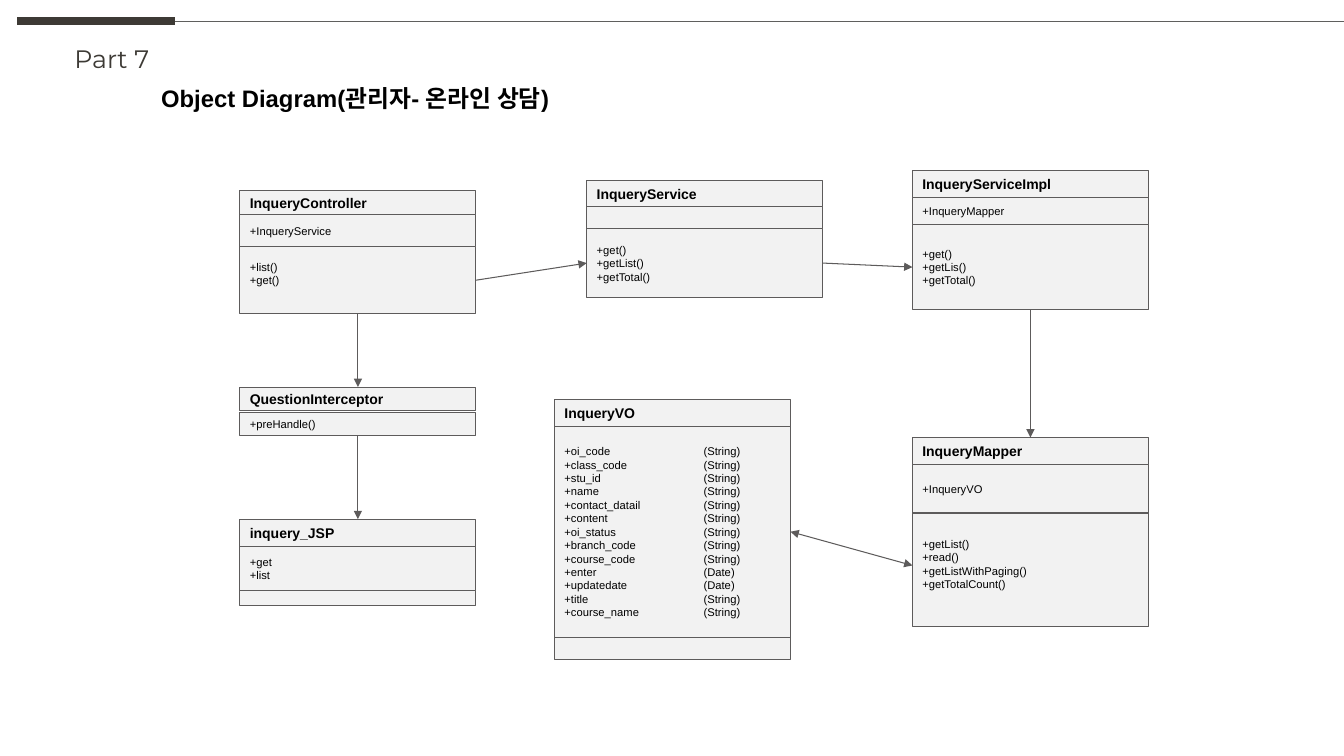
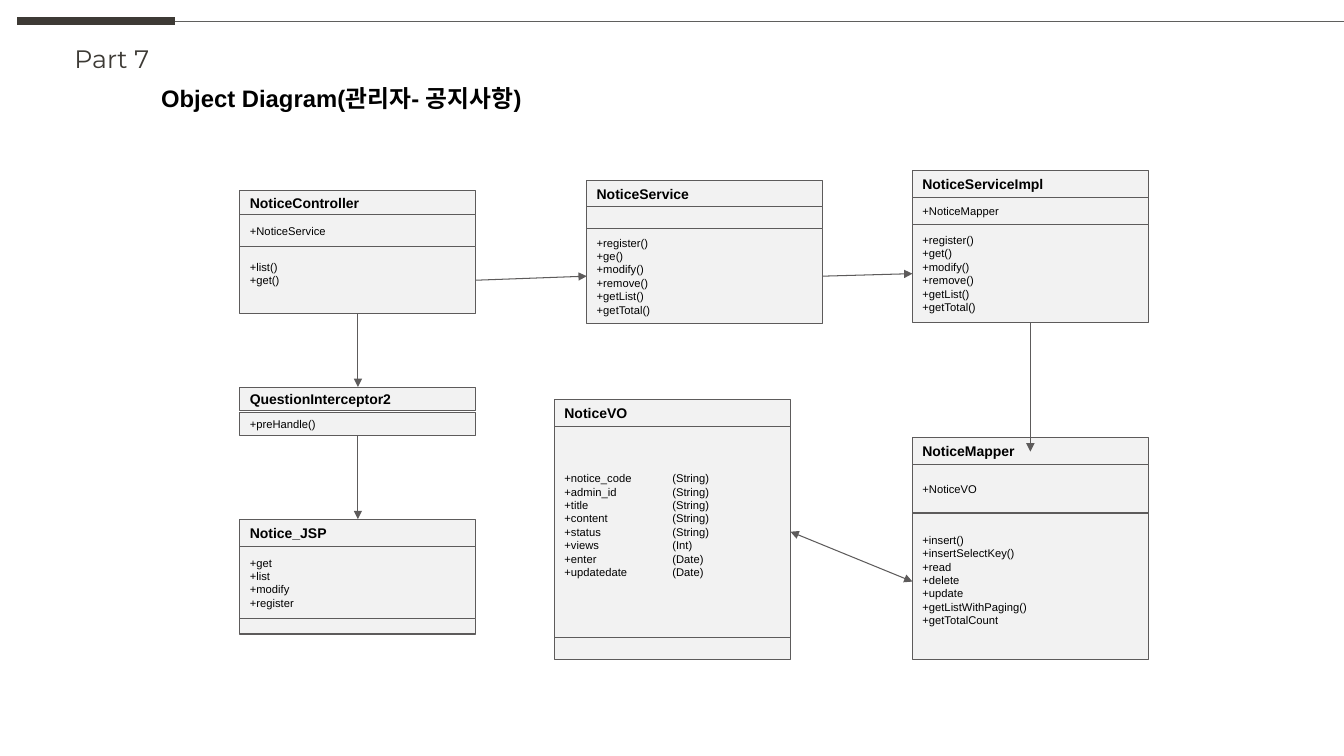
from dataclasses import dataclass
from lxml.etree import SubElement
from pptx import Presentation
from pptx.dml.color import RGBColor
from pptx.enum.shapes import MSO_CONNECTOR, MSO_SHAPE
from pptx.enum.text import MSO_ANCHOR, MSO_AUTO_SIZE, PP_ALIGN
from pptx.oxml.ns import qn
from pptx.util import Inches, Pt

SLIDE_WIDTH, SLIDE_HEIGHT = Inches(13.33), Inches(7.5)
COLUMN, ROW = SLIDE_WIDTH // 1333, SLIDE_HEIGHT // 750
CLASS_COLUMNS = 234
TOP, LEFT, BOTTOM, RIGHT = range(4)

BLACK = RGBColor(0x00, 0x00, 0x00)
CHARCOAL = RGBColor(0x3D, 0x3A, 0x35)
RULE_GRAY = RGBColor(0x5F, 0x5F, 0x5D)
OUTLINE = RGBColor(0x5D, 0x5B, 0x5B)
PANEL = RGBColor(0xF2, 0xF2, 0xF2)

PART_STYLE = {"name": "Montserrat", "size": Pt(18), "color": CHARCOAL}
TITLE_STYLE = {"name": "Arial", "size": Pt(17), "bold": True, "color": BLACK}
NAME_STYLE = {"name": "Arial", "size": Pt(10), "bold": True, "color": BLACK}
MEMBER_STYLE = {"name": "Arial", "size": Pt(8), "color": BLACK}


@dataclass
class Cell:
    rows: int
    lines: tuple = ()
    lift: int = 0
    gap: int = 0
    tab: int = 0


@dataclass
class Diagram:
    title: str
    stem: str
    interceptor: str
    view_name: str
    view: Cell
    service: Cell
    implementation: Cell
    mapper: Cell
    fields: Cell
    mapper_drop: int = 0


INQUERY = Diagram(
    title="Object Diagram(관리자- 온라인 상담)",
    stem="Inquery",
    interceptor="QuestionInterceptor",
    view_name="inquery_JSP",
    view=Cell(44, ("+get", "+list")),
    service=Cell(68, ("+get()", "+getList()", "+getTotal()")),
    implementation=Cell(84, ("+get()", "+getLis()", "+getTotal()")),
    mapper=Cell(122, ("+getList()", "+read()", "+getListWithPaging()",
                      "+getTotalCount()"), lift=3, gap=-9),
    fields=Cell(209, (
        "+oi_code\t(String)", "+class_code\t(String)", "+stu_id\t(String)",
        "+name\t(String)", "+contact_datail\t(String)", "+content\t(String)",
        "+oi_status\t(String)", "+branch_code\t(String)",
        "+course_code\t(String)", "+enter\t(Date)", "+updatedate\t(Date)",
        "+title\t(String)", "+course_name\t(String)"), tab=138),
)

NOTICE = Diagram(
    title="Object Diagram(관리자- 공지사항)",
    stem="Notice",
    interceptor="QuestionInterceptor2",
    view_name="Notice_JSP",
    view=Cell(72, ("+get", "+list", "+modify", "+register")),
    service=Cell(94, ("+register()", "+ge()", "+modify()", "+remove()",
                      "+getList()", "+getTotal()")),
    implementation=Cell(97, ("+register()", "+get()", "+modify()",
                             "+remove()", "+getList()", "+getTotal()")),
    mapper=Cell(154, ("+insert()", "+insertSelectKey()", "+read", "+delete",
                      "+update", "+getListWithPaging()", "+getTotalCount"),
                lift=3, gap=-9),
    fields=Cell(209, (
        "+notice_code\t(String)", "+admin_id\t(String)", "+title\t(String)",
        "+content\t(String)", "+status\t(String)", "+views\t(Int)",
        "+enter\t(Date)", "+updatedate\t(Date)"), lift=13, tab=107),
    mapper_drop=14,
)


def style_span(span, style):
    for name, value in style.items():
        if name == "color":
            span.font.color.rgb = value
        else:
            setattr(span.font, name, value)


def write_lines(frame, lines, style, tab=0):
    for index, line in enumerate(lines):
        para = frame.add_paragraph() if index else frame.paragraphs[0]
        para.alignment = PP_ALIGN.LEFT
        if tab:
            stops = SubElement(para._p.get_or_add_pPr(), qn("a:tabLst"))
            SubElement(stops, qn("a:tab"), pos=str(tab * COLUMN), algn="l")
        span = para.add_run()
        span.text = line
        style_span(span, style)


def add_label(page, left, top, columns, rows, text, style):
    box = page.shapes.add_textbox(
        left * COLUMN, top * ROW, columns * COLUMN, rows * ROW)
    box.text_frame.word_wrap = True
    box.text_frame.auto_size = MSO_AUTO_SIZE.SHAPE_TO_FIT_TEXT
    write_lines(box.text_frame, [text], style)


def add_line(page, start, end, color, weight):
    line = page.shapes.add_connector(
        MSO_CONNECTOR.STRAIGHT, start[0] * COLUMN, start[1] * ROW,
        end[0] * COLUMN, end[1] * ROW)
    line.line.color.rgb = color
    line.line.width = Pt(weight)
    SubElement(line._element.spPr, qn("a:effectLst"))
    return line


def add_arrow(page, source, source_site, target, target_site,
              both_ends=False, drop=0):
    arrow = add_line(page, (0, 0), (0, 0), OUTLINE, 0.75)
    arrow.begin_connect(source, source_site)
    if drop:
        arrow.end_x = arrow.begin_x
        arrow.end_y = target.top + drop * ROW
    else:
        arrow.end_connect(target, target_site)
    outline = arrow.line._get_or_add_ln()
    for end in ("headEnd", "tailEnd") if both_ends else ("tailEnd",):
        SubElement(outline, qn(f"a:{end}"), type="triangle")


def add_cell(page, left, top, cell, style):
    box = page.shapes.add_shape(
        MSO_SHAPE.RECTANGLE, left * COLUMN, top * ROW,
        CLASS_COLUMNS * COLUMN, cell.rows * ROW)
    box.shadow.inherit = False
    box.fill.solid()
    box.fill.fore_color.rgb = PANEL
    box.line.color.rgb = OUTLINE
    box.line.width = Pt(0.75)
    frame = box.text_frame
    layout = {"word_wrap": True, "vertical_anchor": MSO_ANCHOR.MIDDLE,
              "margin_left": Inches(0.1), "margin_right": Inches(0.1),
              "margin_top": Inches(0.1),
              "margin_bottom": Inches(0.1) + cell.lift * ROW}
    for name, value in layout.items():
        setattr(frame, name, value)
    write_lines(frame, cell.lines, style, cell.tab)
    return box


def add_class(page, left, top, name, name_rows, *members):
    cells = [Cell(name_rows, (name,)), *members]
    tops = []
    for cell in cells:
        top += cell.gap
        tops.append(top)
        top += cell.rows
    styles = [NAME_STYLE] + [MEMBER_STYLE] * len(members)
    boxes = [add_cell(page, left, *placed)
             for placed in reversed(list(zip(tops, cells, styles)))]
    return boxes[::-1]


def add_header(page, title):
    add_line(page, (17, 21), (174, 21), CHARCOAL, 6)
    add_label(page, 64, 38, 99, 40, "Part 7", PART_STYLE)
    add_line(page, (174, 21), (1333, 21), RULE_GRAY, 0.75)
    add_label(page, 150, 78, 426, 39, title, TITLE_STYLE)


def add_diagram(page, diagram):
    stem = diagram.stem
    controller = add_class(
        page, 238, 189, f"{stem}Controller", 24,
        Cell(32, (f"+{stem}Service",)),
        Cell(66, ("+list()", "+get()"), lift=13))
    interceptor = add_class(
        page, 238, 384, diagram.interceptor, 23,
        Cell(23, ("+preHandle()",), gap=2))
    view = add_class(
        page, 238, 515, diagram.view_name, 27, diagram.view, Cell(15))
    service = add_class(
        page, 582, 179, f"{stem}Service", 26, Cell(22), diagram.service)
    implementation = add_class(
        page, 905, 169, f"{stem}ServiceImpl", 27,
        Cell(27, (f"+{stem}Mapper",)), diagram.implementation)
    mapper = add_class(
        page, 905, 434, f"{stem}Mapper", 27,
        Cell(48, (f"+{stem}VO",)), diagram.mapper)
    record = add_class(
        page, 550, 396, f"{stem}VO", 27, diagram.fields, Cell(22))

    add_arrow(page, controller[-1], RIGHT, service[-1], LEFT)
    add_arrow(page, service[-1], RIGHT, implementation[-1], LEFT)
    add_arrow(page, controller[-1], BOTTOM, interceptor[0], TOP)
    add_arrow(page, interceptor[-1], BOTTOM, view[0], TOP)
    add_arrow(page, implementation[-1], BOTTOM, mapper[0], TOP,
              drop=diagram.mapper_drop)
    add_arrow(page, mapper[-1], LEFT, record[1], RIGHT, both_ends=True)


def main():
    deck = Presentation()
    deck.slide_width, deck.slide_height = SLIDE_WIDTH, SLIDE_HEIGHT
    for diagram in (INQUERY, NOTICE):
        page = deck.slides.add_slide(deck.slide_layouts[6])
        add_header(page, diagram.title)
        add_diagram(page, diagram)
    deck.save("out.pptx")


main()
